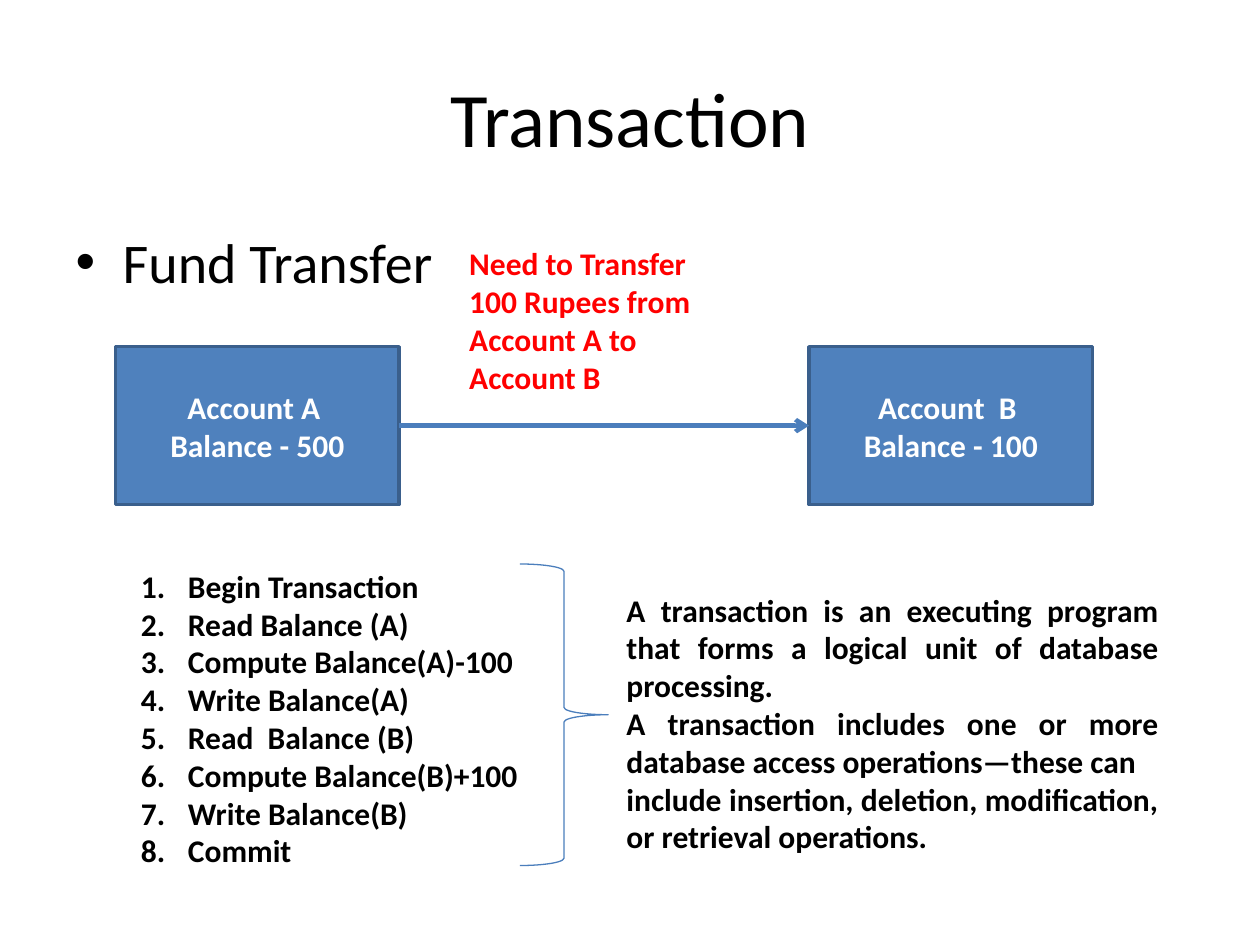
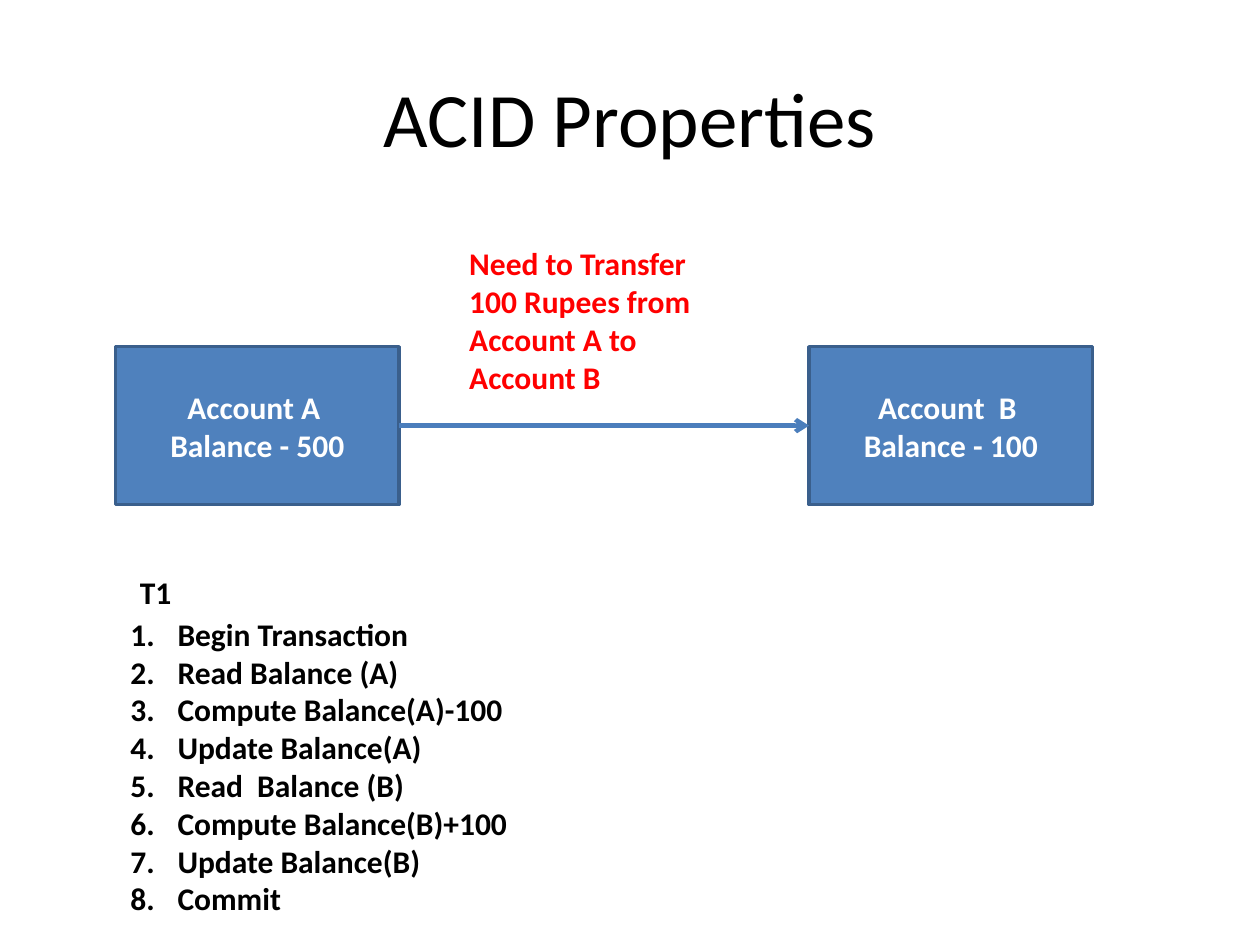
from lxml import etree
from pptx import Presentation
from pptx.dml.color import RGBColor
from pptx.enum.shapes import MSO_CONNECTOR, MSO_SHAPE
from pptx.enum.text import MSO_ANCHOR, PP_ALIGN
from pptx.oxml.ns import qn
from pptx.util import Cm, Pt

RECT, BRACE = MSO_SHAPE.RECTANGLE, MSO_SHAPE.RIGHT_BRACE
STRAIGHT = MSO_CONNECTOR.STRAIGHT
LEFT, CENTER, JUSTIFY = PP_ALIGN.LEFT, PP_ALIGN.CENTER, PP_ALIGN.JUSTIFY
MIDDLE = MSO_ANCHOR.MIDDLE
FONT = "Calibri"
INDENT = Cm(0.95)
COLORS = {
    "text": "000000",
    "note": "FF0000",
    "box": "4F81BD",
    "box_line": "3A5F8C",
    "line": "4B7EBC",
    "box_text": "FFFFFF",
}
TITLE_BOX = (1.27, 0.76, 22.86, 3.18)
BODY_BOX = (1.27, 4.45, 22.86, 12.57)
TRANSFER_BOX = (2.33, 4.8, 19.7, 5.37)
ACCOUNT_W, ACCOUNT_H = 5.72, 3.18
DEFINITION = [
    "A transaction is an executing program that forms a logical unit of database processing.",
    "A transaction includes one or more database access operations—these can",
    "include insertion, deletion, modification, or retrieval operations.",
]


def color(name):
    """Return the named colour."""
    return RGBColor.from_string(COLORS[name])


def place(sp, box):
    """Move a shape to a box given in centimetres."""
    sp.left, sp.top, sp.width, sp.height = (Cm(v) for v in box)


def write(tf, lines, size=18, bold=True, fill="text", align=LEFT, bullet=None):
    """Fill a text frame with one formatted paragraph per line."""
    tf.word_wrap = True
    tf.text = "\n".join(lines)
    for p in tf.paragraphs:
        p.alignment = align
        if bullet:
            tag, name, value = bullet
            pPr = p._p.get_or_add_pPr()
            pPr.set("marL", str(INDENT))
            pPr.set("indent", str(-INDENT))
            etree.SubElement(pPr, qn(tag)).set(name, value)
        for r in p.runs:
            r.font.name = FONT
            r.font.size = Pt(size)
            r.font.bold = bold
            r.font.color.rgb = color(fill)


def add_text(slide, box, lines, **style):
    """Add a text box."""
    sp = slide.shapes.add_textbox(*(Cm(v) for v in box))
    write(sp.text_frame, lines, **style)


def add_title(slide, text):
    """Fill and place the slide title."""
    sp = slide.shapes.title
    place(sp, TITLE_BOX)
    sp.text_frame.vertical_anchor = MIDDLE
    write(sp.text_frame, [text], size=44, bold=False, align=CENTER)


def add_account(slide, box, lines):
    """Add an account rectangle."""
    sp = slide.shapes.add_shape(RECT, *(Cm(v) for v in box))
    sp.shadow.inherit = False
    sp.fill.solid()
    sp.fill.fore_color.rgb = color("box")
    sp.line.color.rgb = color("box_line")
    sp.line.width = Pt(2)
    sp.text_frame.vertical_anchor = MIDDLE
    write(sp.text_frame, lines, fill="box_text", align=CENTER)


def add_transfer(slide, box):
    """Draw two accounts at the foot of the box, joined by an arrow under a note."""
    x, y, w, h = box
    top = y + h - ACCOUNT_H
    right = x + w - ACCOUNT_W
    add_account(slide, (x, top, ACCOUNT_W, ACCOUNT_H), ["Account A ", "Balance - 500"])
    add_account(slide, (right, top, ACCOUNT_W, ACCOUNT_H), ["Account  B ", "Balance - 100"])
    mid = Cm(top + ACCOUNT_H / 2)
    arrow = slide.shapes.add_connector(STRAIGHT, Cm(x + ACCOUNT_W), mid, Cm(right), mid)
    arrow.line.color.rgb = color("line")
    arrow.line.width = Pt(2.5)
    etree.SubElement(arrow.line._get_or_add_ln(), qn("a:tailEnd")).set("type", "arrow")
    etree.SubElement(arrow._element.spPr, qn("a:effectLst"))
    add_text(slide, (x + 6.88, y, 5.93, 3.33),
             ["Need to Transfer 100 Rupees from Account A to Account B"], fill="note")


def add_steps(slide, box, verb):
    """Add the numbered steps, with the verb used for storing a balance."""
    steps = ["Begin Transaction"]
    for read, change in (("Read Balance (A)", "(A)-100"), ("Read  Balance (B)", "(B)+100")):
        steps += [read, f"Compute Balance{change}", f"{verb} Balance{change[:3]}"]
    add_text(slide, box, steps + ["Commit"],
             bullet=("a:buAutoNum", "type", "arabicPeriod"))


def add_definition(slide, box):
    """Add a brace on the left of the box and the definition on its right."""
    x, y, w, h = box
    sp = slide.shapes.add_shape(BRACE, Cm(x), Cm(y), Cm(1.78), Cm(h))
    sp.shadow.inherit = False
    sp.fill.background()
    sp.line.color.rgb = color("line")
    sp.line.width = Pt(0.75)
    add_text(slide, (x + 1.9, y + 0.41, w - 1.9, 5.64), DEFINITION, align=JUSTIFY)


def transaction_slide(prs):
    """Build the slide that defines a transaction."""
    slide = prs.slides.add_slide(prs.slide_layouts[1])
    add_title(slide, "Transaction")
    body = slide.placeholders[1]
    place(body, BODY_BOX)
    write(body.text_frame, ["Fund Transfer"], size=32, bold=False,
          bullet=("a:buChar", "char", "•"))
    body.text_frame.paragraphs[0].space_before = Pt(0)
    add_transfer(slide, TRANSFER_BOX)
    add_steps(slide, (2.59, 11.3, 9.65, 6.41), "Write")
    add_definition(slide, (10.48, 11.37, 13.13, 6.08))


def acid_slide(prs):
    """Build the slide on ACID properties."""
    slide = prs.slides.add_slide(prs.slide_layouts[5])
    add_title(slide, "ACID Properties")
    add_transfer(slide, TRANSFER_BOX)
    add_steps(slide, (2.38, 12.27, 9.65, 6.41), "Update")
    add_text(slide, (2.57, 11.43, 2.51, 1.02), ["T1"])


def main():
    """Build and save the presentation."""
    prs = Presentation()
    prs.slide_width, prs.slide_height = Cm(25.4), Cm(19.05)
    transaction_slide(prs)
    acid_slide(prs)
    prs.save("out.pptx")


if __name__ == "__main__":
    main()
